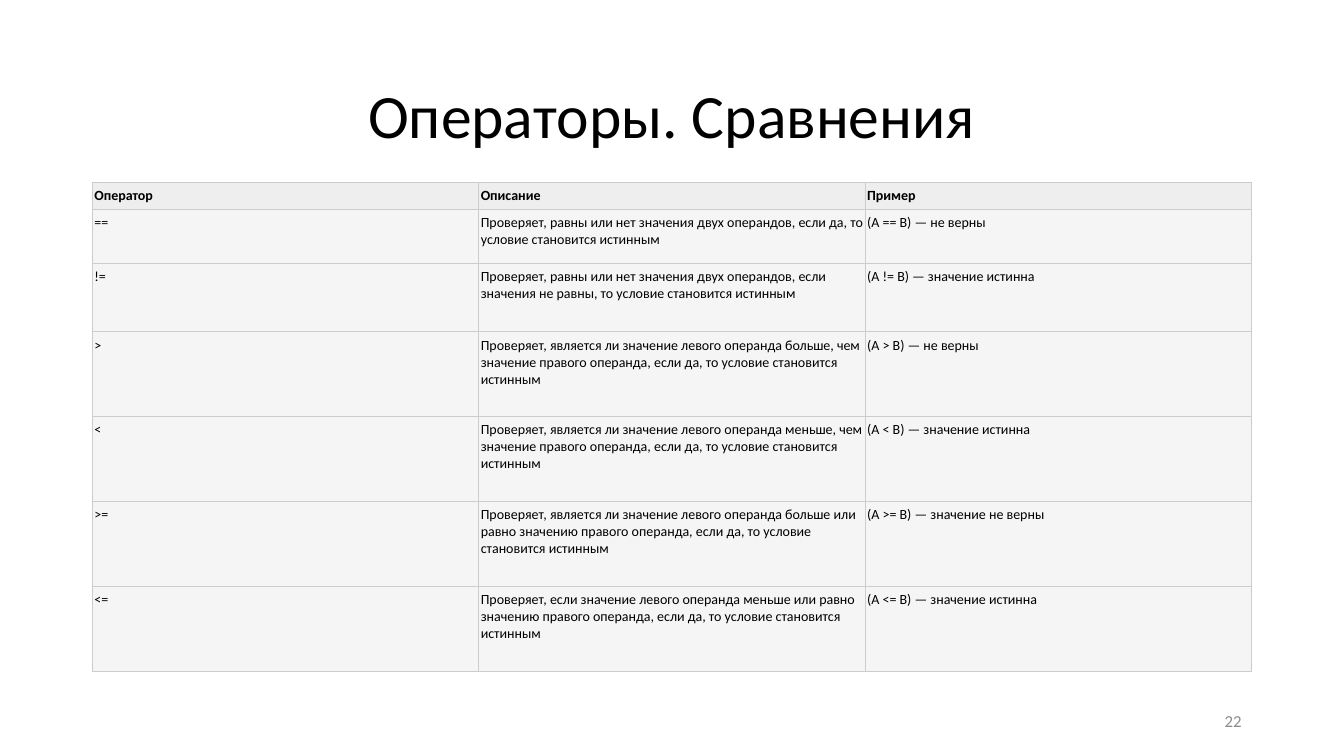
import pptx
import pptx.dml.color
import pptx.enum.text
import pptx.oxml
import pptx.oxml.ns
import pptx.util

COLORS = {"ink": "000000", "gray": "8B8B8B", "line": "CCCCCC",
          "head": "EEEEEE", "body": "F5F5F5"}
ALIGN = pptx.enum.text.PP_ALIGN
ANCHOR = pptx.enum.text.MSO_ANCHOR

HEAD = ("Оператор", "Описание", "Пример")
SIDE = "Проверяет, является ли значение левого операнда "
END = "значение правого операнда, если да, то условие становится истинным"
# Each entry: height in grid rows, then the three cells
ROWS = [
    (2.5, HEAD),
    (6.4, ("==", "Проверяет, равны или нет значения двух операндов, "
           "если да, то условие становится истинным", "(A == B) — не верны")),
    (8.2, ("!=", "Проверяет, равны или нет значения двух операндов, если значения "
           "не равны, то условие становится истинным", "(A != B) — значение истинна")),
    (10.1, (">", SIDE + "больше, чем " + END, "(A > B) — не верны")),
    (10.1, ("<", SIDE + "меньше, чем " + END, "(A < B) — значение истинна")),
    (10.1, (">=", SIDE + "больше или равно значению правого операнда, "
            "если да, то условие становится истинным", "(A >= B) — значение не верны")),
    (10.1, ("<=", "Проверяет, если значение левого операнда меньше или равно значению "
            "правого операнда, если да, то условие становится истинным",
            "(A <= B) — значение истинна")),
]


class Deck:
    """Style and current slide; lengths are cells of a 160 by 90 grid."""

    font = "Calibri"

    def __init__(self):
        self.prs = pptx.Presentation()
        self.prs.slide_width = pptx.util.Inches(13.33)
        self.prs.slide_height = pptx.util.Inches(7.5)
        self.slide = self.prs.slides.add_slide(self.prs.slide_layouts[6])

    def col(self, n):
        return round(self.prs.slide_width * n / 160)

    def row(self, n):
        return round(self.prs.slide_height * n / 90)

    def area(self, x, y, w, h):
        return self.col(x), self.row(y), self.col(w), self.row(h)

    def label(self, frame, text, size, color="ink", bold=False, align=ALIGN.LEFT):
        frame.word_wrap = True
        para = frame.paragraphs[0]
        para.text = text
        para.alignment = align
        para.font.name = self.font
        para.font.size = pptx.util.Pt(size)
        para.font.bold = bold
        para.font.color.rgb = pptx.dml.color.RGBColor.from_string(COLORS[color])

    def text(self, box, text, size, color, align):
        frame = self.slide.shapes.add_textbox(*self.area(*box)).text_frame
        frame.vertical_anchor = ANCHOR.MIDDLE
        self.label(frame, text, size, color, align=align)

    def border(self, cell):
        props = cell._tc.get_or_add_tcPr()
        width = pptx.util.Pt(0.57)
        for side in ("lnL", "lnR", "lnT", "lnB"):
            props.append(pptx.oxml.parse_xml(
                f'<a:{side} {pptx.oxml.ns.nsdecls("a")} w="{width}"><a:solidFill>'
                f'<a:srgbClr val="{COLORS["line"]}"/></a:solidFill></a:{side}>'))

    def cell(self, cell, text, head):
        cell.margin_left = cell.margin_right = pptx.util.Inches(0.02)
        cell.margin_top = cell.margin_bottom = pptx.util.Inches(0.05)
        self.border(cell)
        cell.fill.solid()
        fill = COLORS["head" if head else "body"]
        cell.fill.fore_color.rgb = pptx.dml.color.RGBColor.from_string(fill)
        self.label(cell.text_frame, text, 10, bold=head)

    def table(self, x, y, w, rows):
        count = len(rows[0][1])
        high = sum(size for size, _ in rows)
        grid = self.slide.shapes.add_table(
            len(rows), count, *self.area(x, y, w, high)).table
        for col in grid.columns:
            col.width = self.col(w / count)
        for i, (size, texts) in enumerate(rows):
            grid.rows[i].height = self.row(size)
            for j, text in enumerate(texts):
                self.cell(grid.cell(i, j), text, i == 0)


def main():
    deck = Deck()
    # Title
    deck.text((11, 4.8, 138, 17.4), "Операторы. Сравнения", 44, "ink", ALIGN.CENTER)
    # Slide number
    deck.text((113, 83.4, 36, 4.8), "22", 12, "gray", ALIGN.RIGHT)
    # Table of operators
    deck.table(11, 21.7, 138, ROWS)
    deck.prs.save("out.pptx")


if __name__ == "__main__":
    main()
